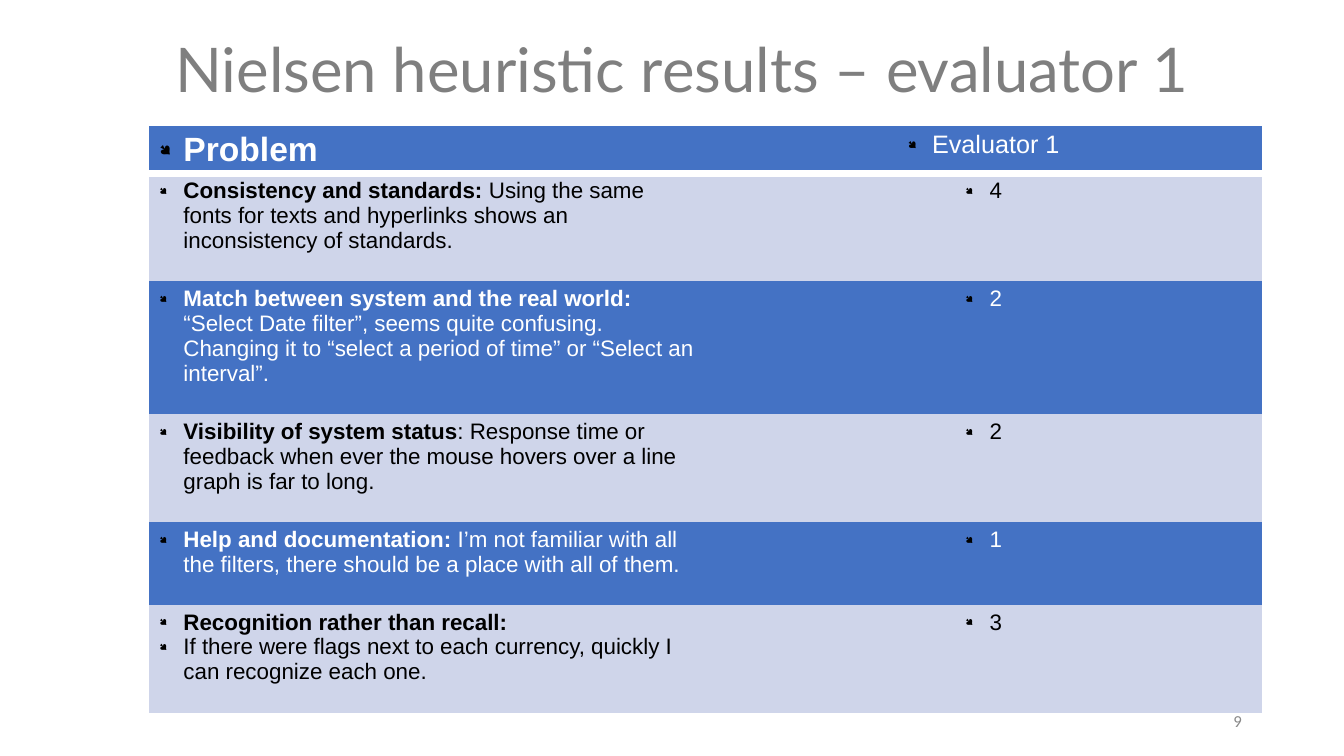
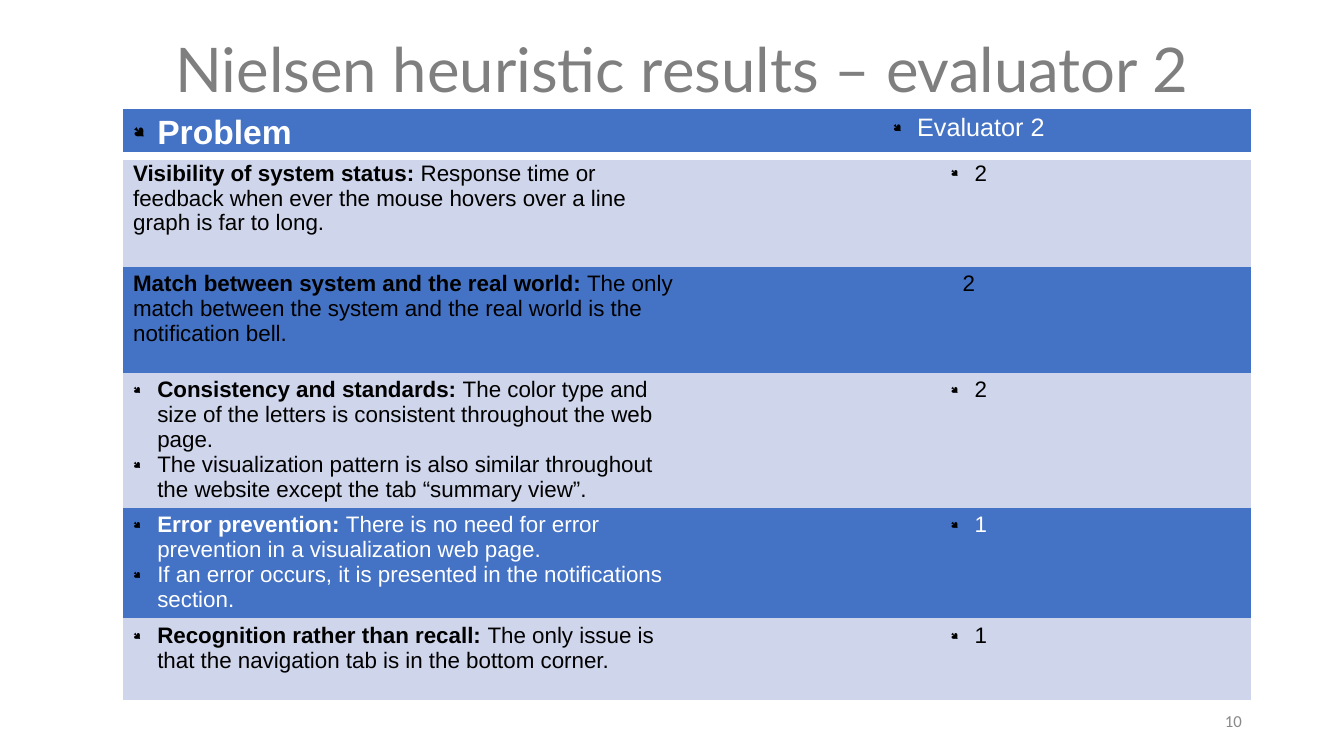
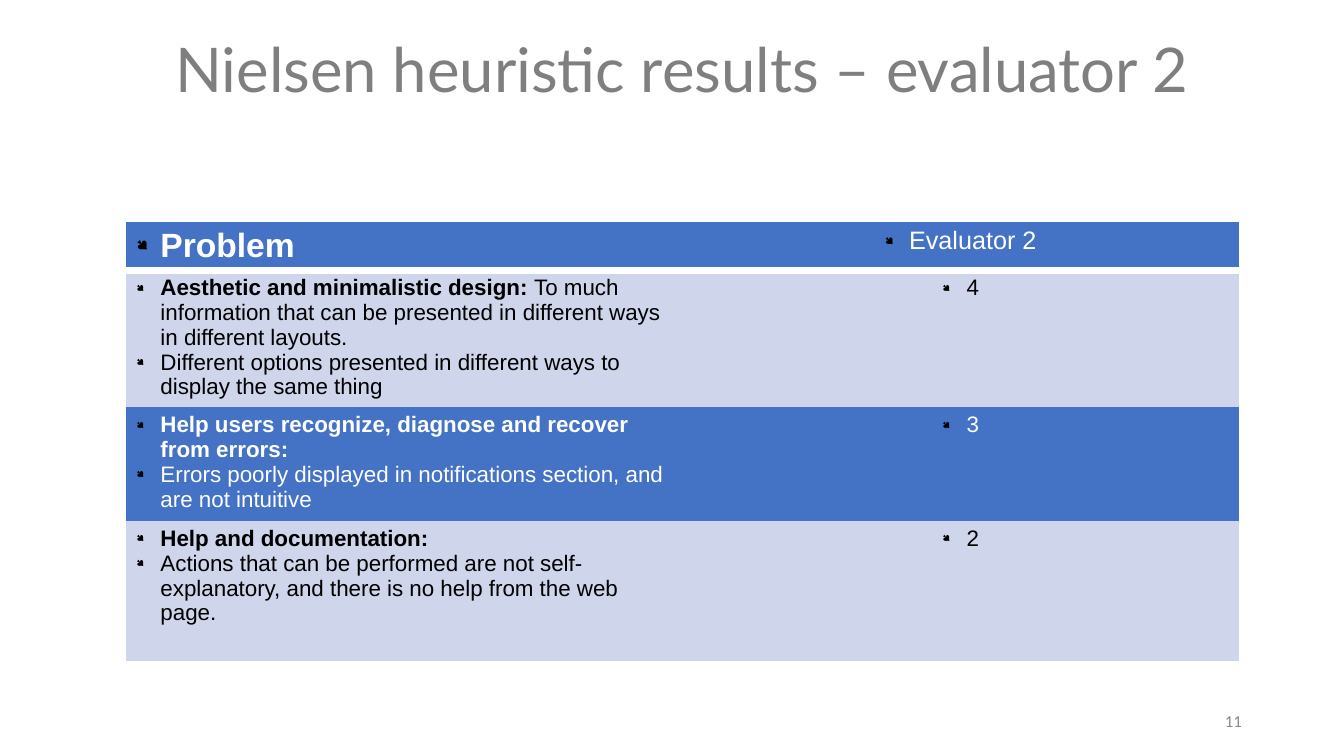
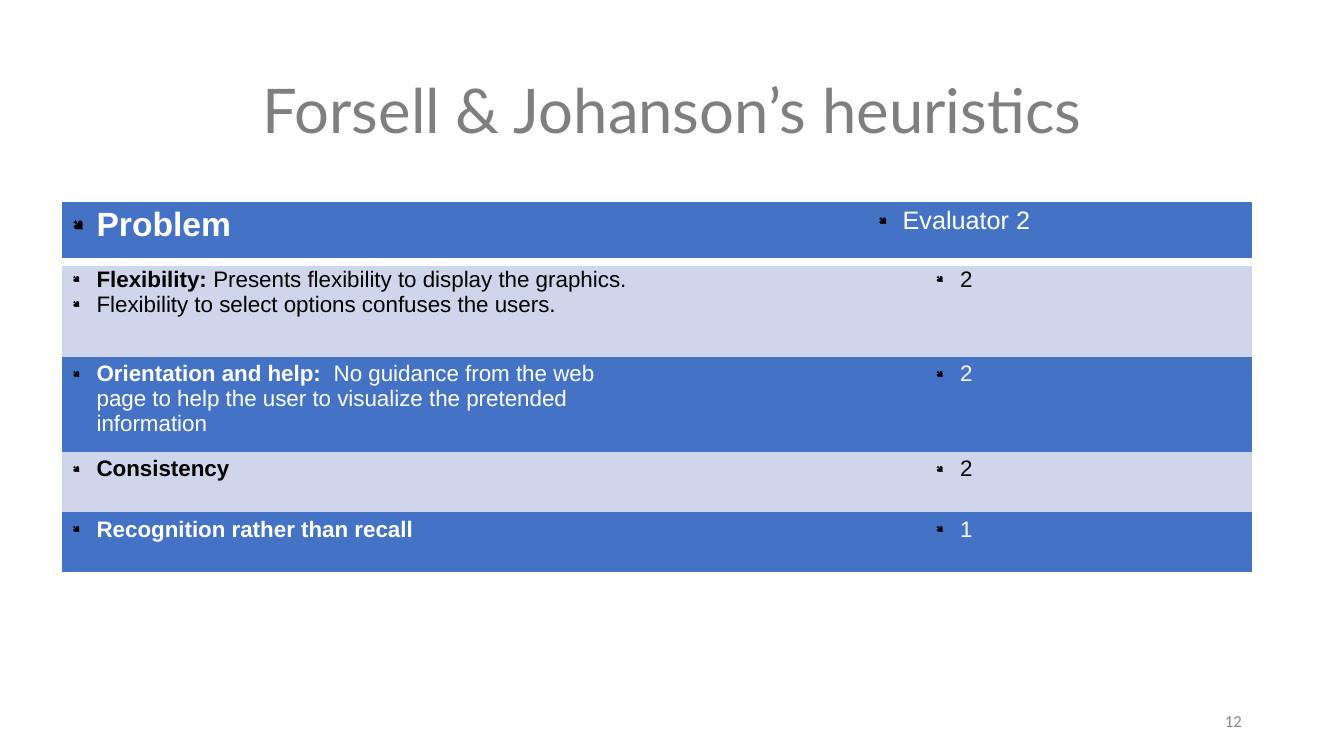
from dataclasses import dataclass

from lxml.etree import SubElement
from pptx import Presentation
from pptx.dml.color import RGBColor
from pptx.enum.text import MSO_ANCHOR, PP_ALIGN
from pptx.oxml import parse_xml
from pptx.oxml.ns import nsdecls, qn
from pptx.util import Cm, Pt


@dataclass(frozen=True)
class Theme:
    title: str = "7F7F7F"
    footer: str = "898989"
    dark: str = "4472C4"
    light: str = "CFD5EA"
    black: str = "000000"
    white: str = "FFFFFF"
    title_font: str = "Lato"
    table_font: str = "Arial"
    footer_font: str = "Calibri"
    bullet_font: str = "Wingdings"
    title_size: int = 44
    problem_size: int = 24
    evaluator_size: int = 18
    body_size: int = 16
    footer_size: int = 12


@dataclass(frozen=True)
class Finding:
    """One table row; each paragraph is a (bold, regular) pair, height in cm."""
    paragraphs: list
    score: int
    height: float
    text_bullet: bool = True
    score_bullet: bool = True
    ink: str = ""


@dataclass(frozen=True)
class Page:
    """Places and sizes in cm."""
    title: str
    evaluator: str
    table_at: tuple
    table_width: float
    header_height: float
    findings: list
    title_at: tuple = (2.59, 0)


THEME = Theme()
FIRST_NUMBER = 9
TITLE_SIZE = (29.21, 3.68)
NUMBER_BOX = (23.93, 17.65, 7.62, 1.02)
BULLET_INDENT = Cm(0.61)
LINE_PITCH = 1.11  # fixed line height as a share of the type size, keeps rows at their heights
PLAIN_TABLE_STYLE = "{2D5ABB26-0587-4C30-8999-92F81FD0307C}"

PAGES = [
    Page("Nielsen heuristic results – evaluator 1", "Evaluator 1", (3.76, 3.18), 28.04, 1.19, [
        Finding([("Consistency and standards: ",
                  "Using the same fonts for texts and hyperlinks shows an inconsistency of standards.")],
                4, 2.72),
        Finding([("Match between system and the real world:",
                  " “Select Date filter”, seems quite confusing. Changing it to "
                  "“select a period of time” or “Select an interval”.")], 2, 3.35),
        Finding([("Visibility of system status",
                  ": Response time or feedback when ever the mouse hovers over a line graph "
                  "is far to long.")], 2, 2.72),
        Finding([("Help and documentation:",
                  " I’m not familiar with all the filters, there should be a place with all of them.")],
                1, 2.08),
        Finding([("Recognition rather than recall:", ""),
                 ("", "If there were flags next to each currency, quickly I can recognize each one.")],
                3, 2.72),
    ]),
    Page("Nielsen heuristic results – evaluator 2", "Evaluator 2", (3.1, 2.74), 28.42, 1.19, [
        Finding([("Visibility of system status: ",
                  "Response time or feedback when ever the mouse hovers over a line graph "
                  "is far to long.")], 2, 2.79, text_bullet=False),
        Finding([("Match between system and the real world:",
                  " The only match between the system and the real world is the notification bell.")],
                2, 2.67, text_bullet=False, score_bullet=False, ink=THEME.black),
        Finding([("Consistency and standards: ",
                  "The color type and size of the letters is consistent throughout the web page."),
                 ("", "The visualization pattern is also similar throughout the website "
                      "except the tab “summary view”.")], 2, 3.4),
        Finding([("Error prevention: ",
                  "There is no need for error prevention in a visualization web page."),
                 ("", "If an error occurs, it is presented in the notifications section.")], 1, 2.79),
        Finding([("Recognition rather than recall: ",
                  "The only issue is that the navigation tab is in the bottom corner.")], 1, 2.06),
    ]),
    Page("Nielsen heuristic results – evaluator 2", "Evaluator 2", (3.18, 5.59), 28.04, 1.22, [
        Finding([("Aesthetic and minimalistic design: ",
                  "To much information that can be presented in different ways in different layouts."),
                 ("", "Different options presented in different ways to display the same thing")],
                4, 3.45),
        Finding([("Help users recognize, diagnose and recover from errors:", ""),
                 ("", "Errors poorly displayed in notifications section, and are not intuitive")],
                3, 2.87),
        Finding([("Help and documentation:", ""),
                 ("", "Actions that can be performed are not self-explanatory, "
                      "and there is no help from the web page.")], 2, 3.53),
    ]),
    Page("Forsell & Johanson’s heuristics", "Evaluator 2", (1.57, 5.08), 29.97, 1.52, [
        Finding([("Flexibility: ", "Presents flexibility to display the graphics."),
                 ("", "Flexibility to select options confuses the users.")], 2, 2.39),
        Finding([("Orientation and help: ",
                  " No guidance from the web page to help the user to visualize "
                  "the pretended information")], 2, 2.39),
        Finding([("Consistency", "")], 2, 1.52),
        Finding([("Recognition rather than recall", "")], 1, 1.52),
    ], title_at=(2.34, 1.02)),
]


def add_span(para, text, font, size, color, bold=False):
    span = para.add_run()
    span.text = text
    span.font.name = font
    span.font.size = Pt(size)
    span.font.bold = bold
    span.font.color.rgb = RGBColor.from_string(color)


def add_line_box(slide, place, text, font, size, color, align):
    """Adds a one-paragraph text box, centred vertically, and returns the paragraph."""
    box = slide.shapes.add_textbox(*map(Cm, place))
    box.text_frame.word_wrap = True
    box.text_frame.vertical_anchor = MSO_ANCHOR.MIDDLE
    para = box.text_frame.paragraphs[0]
    para.alignment = align
    add_span(para, text, font, size, color)
    return para


def add_bullet(para):
    props = para._p.get_or_add_pPr()
    props.set("marL", str(BULLET_INDENT))
    props.set("indent", str(-BULLET_INDENT))
    color = SubElement(props, qn("a:buClr"))
    SubElement(color, qn("a:srgbClr"), val=THEME.black)
    SubElement(props, qn("a:buSzPct"), val="45000")
    SubElement(props, qn("a:buFont"), typeface=THEME.bullet_font)
    SubElement(props, qn("a:buChar"), char="●")


def fill_cell(cell, paragraphs, size, ink, fill, align=PP_ALIGN.LEFT, bullet=True):
    cell.fill.solid()
    cell.fill.fore_color.rgb = RGBColor.from_string(fill)
    cell.margin_bottom = 0
    frame = cell.text_frame
    for index, parts in enumerate(paragraphs):
        para = frame.add_paragraph() if index else frame.paragraphs[0]
        para.alignment = align
        para.line_spacing = Pt(size * LINE_PITCH)
        if bullet:
            add_bullet(para)
        for text, bold in zip(parts, (True, False)):
            if text:
                add_span(para, text, THEME.table_font, size, ink, bold)


def add_bottom_border(cell):
    line = parse_xml(
        f'<a:lnB {nsdecls("a")} w="{Pt(6)}"><a:solidFill>'
        f'<a:srgbClr val="{THEME.white}"/></a:solidFill></a:lnB>')
    cell._tc.get_or_add_tcPr().insert(0, line)


def add_findings_table(slide, page):
    heights = [page.header_height] + [finding.height for finding in page.findings]
    frame = slide.shapes.add_table(len(heights), 2, *map(Cm, page.table_at),
                                   Cm(page.table_width), Cm(sum(heights)))
    table = frame.table
    table.first_row = table.horz_banding = False
    table._tbl.tblPr.find(qn("a:tableStyleId")).text = PLAIN_TABLE_STYLE
    for column in table.columns:
        column.width = Cm(page.table_width / 2)
    for row, height in zip(table.rows, heights):
        row.height = Cm(height)

    problem, evaluator = table.rows[0].cells
    fill_cell(problem, [("Problem", "")], THEME.problem_size, THEME.white, THEME.dark)
    fill_cell(evaluator, [("", page.evaluator)], THEME.evaluator_size, THEME.white, THEME.dark,
              PP_ALIGN.CENTER)
    for cell in (problem, evaluator):
        add_bottom_border(cell)

    for index, finding in enumerate(page.findings):
        fill, ink = ((THEME.dark, THEME.white) if index % 2 else (THEME.light, THEME.black))
        ink = finding.ink or ink
        text, score = table.rows[index + 1].cells
        fill_cell(text, finding.paragraphs, THEME.body_size, ink, fill, bullet=finding.text_bullet)
        fill_cell(score, [("", str(finding.score))], THEME.body_size, ink, fill,
                  PP_ALIGN.CENTER, finding.score_bullet)


def main():
    deck = Presentation()
    deck.slide_width, deck.slide_height = Cm(33.87), Cm(19.05)
    for number, page in enumerate(PAGES, FIRST_NUMBER):
        slide = deck.slides.add_slide(deck.slide_layouts[6])
        title = add_line_box(slide, page.title_at + TITLE_SIZE, page.title, THEME.title_font,
                             THEME.title_size, THEME.title, PP_ALIGN.CENTER)
        title.line_spacing = 0.9
        add_findings_table(slide, page)
        add_line_box(slide, NUMBER_BOX, str(number), THEME.footer_font,
                     THEME.footer_size, THEME.footer, PP_ALIGN.RIGHT)
    deck.save("out.pptx")


if __name__ == "__main__":
    main()
